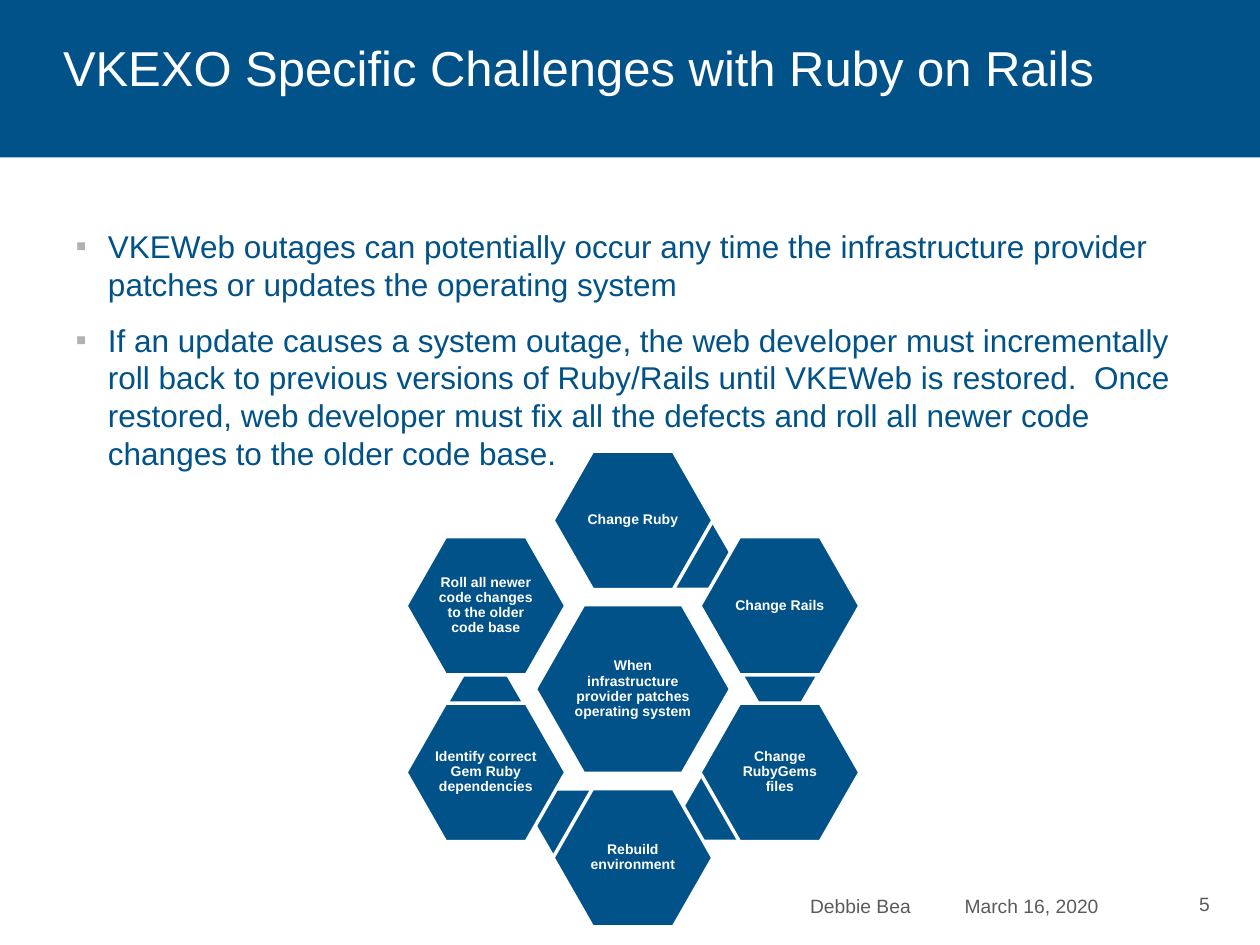
from lxml import etree
from pptx import Presentation
from pptx import util as u
from pptx.dml import color
from pptx.enum import shapes, text
from pptx.oxml import ns

COLORS = {"blue": "005288", "white": "FFFFFF", "gray": "5A5B5D", "bullet": "B0B1B3"}
TITLE = "VKEXO Specific Challenges with Ruby on Rails"
BULLETS = [
    "VKEWeb outages can potentially occur any time the infrastructure provider "
    "patches or updates the operating system",
    "If an update causes a system outage, the web developer must incrementally "
    "roll back to previous versions of Ruby/Rails until VKEWeb is restored.  Once "
    "restored, web developer must fix all the defects and roll all newer code "
    "changes to the older code base.",
]
CENTER_LABEL = "When infrastructure provider patches operating system"
STEPS = [
    ("Change Ruby", (0, -96.4), (35, -76)),
    ("Change Rails", (84, -47.6), (84, -8.5)),
    ("Change RubyGems files", (84, 47.6), (50, 68)),
    ("Rebuild environment", (0, 96.4), (-35, 76)),
    ("Identify correct Gem Ruby dependencies", (-84, 47.6), (-84.3, 8)),
    ("Roll all newer code changes to the older code base", (-84, -47.6), None),
]


def rgb(name):
    return color.RGBColor.from_string(COLORS[name])


def style_font(para, size, name, bold=False):
    para.font.name = "Arial"
    para.font.size = u.Pt(size)
    para.font.bold = bold
    para.font.color.rgb = rgb(name)


def place(shape, box):
    shape.left, shape.top, shape.width, shape.height = (u.Pt(v) for v in box)


def add_child(parent, tag, **attributes):
    return etree.SubElement(parent, ns.qn(tag), attributes)


def fill_title(page, box):
    title = page.shapes.title
    place(title, box)
    title.fill.solid()
    title.fill.fore_color.rgb = rgb("blue")
    frame = title.text_frame
    frame.text = TITLE
    frame.auto_size = text.MSO_AUTO_SIZE.NONE
    frame.vertical_anchor = text.MSO_ANCHOR.TOP
    frame.margin_left, frame.margin_top = u.Pt(36), u.Pt(21.6)
    para = frame.paragraphs[0]
    para.alignment = text.PP_ALIGN.LEFT
    style_font(para, 28, "white")


def fill_body(page, box):
    body = page.placeholders[1]
    place(body, box)
    frame = body.text_frame
    frame.text = "\n".join(BULLETS)
    frame.auto_size = text.MSO_AUTO_SIZE.NONE
    for para in frame.paragraphs:
        para.line_spacing = 1.0
        para.space_before = u.Pt(10.4)
        style_font(para, 18, "blue")
        properties = para._p.get_or_add_pPr()
        properties.set("marL", str(u.Pt(18.5)))
        properties.set("indent", str(u.Pt(-18.5)))
        bullet = etree.Element(ns.qn("a:buClr"))
        add_child(bullet, "a:srgbClr", val=COLORS["bullet"])
        font = etree.Element(ns.qn("a:buFont"), typeface="Arial")
        mark = etree.Element(ns.qn("a:buChar"), char="▪")
        for element in (bullet, font, mark):
            properties.find(ns.qn("a:defRPr")).addprevious(element)


def add_footer_text(page, box, words):
    footer = page.shapes.add_textbox(*(u.Pt(v) for v in box))
    frame = footer.text_frame
    frame.word_wrap = True
    frame.vertical_anchor = text.MSO_ANCHOR.BOTTOM
    para = frame.paragraphs[0]
    para.text = words
    style_font(para, 11, "gray")
    return para


def add_footer(page, box):
    left, top, width, height = box
    para = add_footer_text(page, (left, top, 275.8, height), "Debbie Bea\tMarch 16, 2020")
    tabs = etree.Element(ns.qn("a:tabLst"))
    add_child(tabs, "a:tab", pos=str(u.Pt(88.3)), algn="l")
    para._p.get_or_add_pPr().find(ns.qn("a:defRPr")).addprevious(tabs)
    add_footer_text(page, (left + width - 36, top + 2.2, 36, 20.2), "5")


def add_hexagon(group, center, size, label=None):
    width, height = size
    box = center[0] - width / 2, center[1] - height / 2, width, height
    hexagon = group.shapes.add_shape(shapes.MSO_SHAPE.HEXAGON, *(u.Pt(v) for v in box))
    hexagon.adjustments[0] = 0.286 if label else 0.289
    hexagon.shadow.inherit = False
    hexagon.fill.solid()
    hexagon.fill.fore_color.rgb = rgb("blue")
    if not label:
        hexagon.line.fill.background()
        return
    hexagon.line.color.rgb = rgb("white")
    hexagon.line.width = u.Pt(2)
    frame = hexagon.text_frame
    frame.word_wrap = True
    frame.vertical_anchor = text.MSO_ANCHOR.MIDDLE
    frame.margin_left = frame.margin_right = u.Pt(0.8)
    frame.margin_top = frame.margin_bottom = u.Pt(0.8)
    para = frame.paragraphs[0]
    para.text = label
    para.alignment = text.PP_ALIGN.CENTER
    para.line_spacing = 0.9
    style_font(para, 8, "white", bold=True)


def add_cycle(page, box):
    left, top, width, height = box
    middle = left + width / 2, top + height / 2

    def shifted(offset):
        return middle[0] + offset[0], middle[1] + offset[1]

    group = page.shapes.add_group_shape()
    add_hexagon(group, middle, (111.6, 96.5), CENTER_LABEL)
    for label, offset, link in STEPS:
        if link:
            add_hexagon(group, shifted(link), (41.8, 36))
        add_hexagon(group, shifted(offset), (91.4, 79.1), label)


deck = Presentation()
deck.slide_width, deck.slide_height = u.Pt(720), u.Pt(540)
page = deck.slides.add_slide(deck.slide_layouts[1])
fill_title(page, (0, 0, 720, 90))
fill_body(page, (36, 126, 648, 300))
add_footer(page, (455.8, 504, 258.4, 23.8))
add_cycle(page, (232, 257.8, 259.4, 272))
deck.save("out.pptx")
